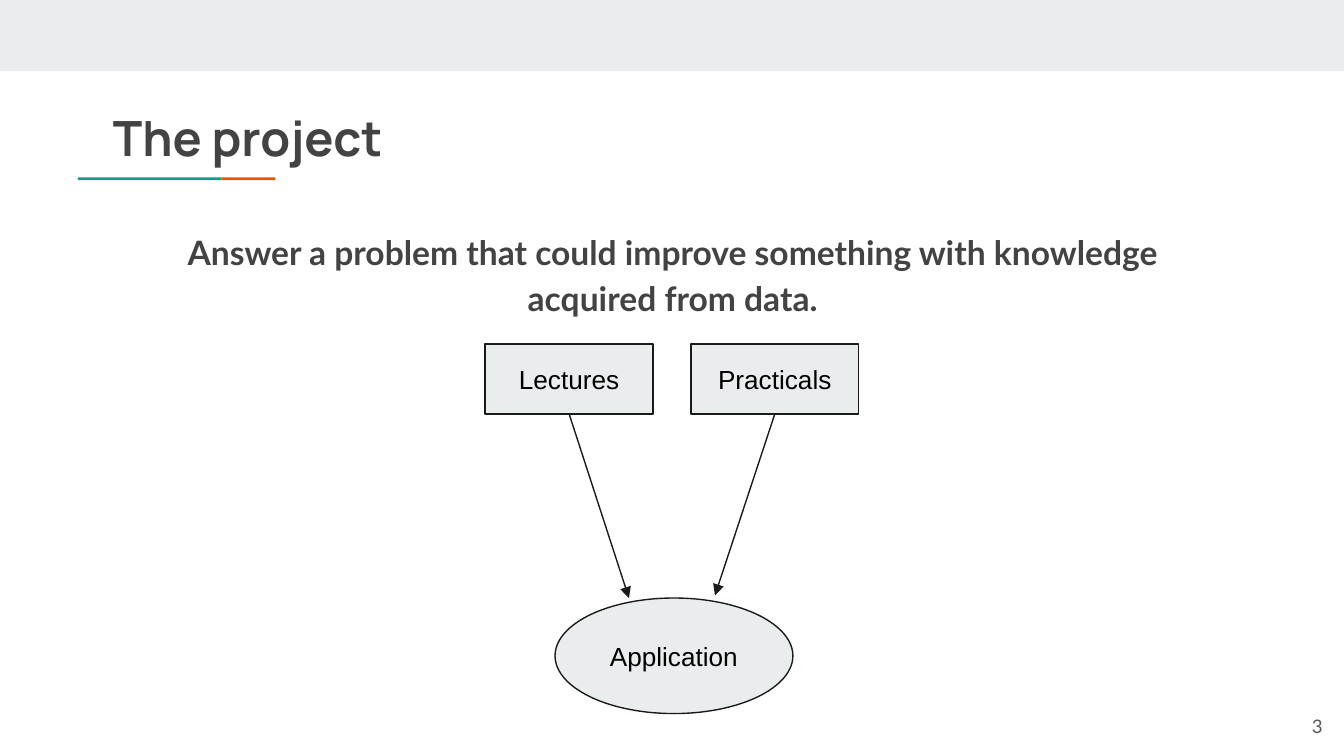
"""Build the project slide: lectures and practicals lead to an application."""
import pptx
import pptx.dml.color
import pptx.enum.shapes
import pptx.enum.text
import pptx.oxml.ns
import pptx.util
from lxml import etree

Inches = pptx.util.Inches
Shapes = pptx.enum.shapes.MSO_SHAPE
Align = pptx.enum.text.PP_ALIGN
Anchor = pptx.enum.text.MSO_ANCHOR
qn = pptx.oxml.ns.qn

COLORS = {"band": "E9EDEE", "teal": "1A9988", "orange": "EB5600", "outline": "1A1A1A",
          "heading": "434343", "label": "000000", "number": "595959"}
TITLE = "The project"
MESSAGE = "Answer a problem that could improve something with knowledge acquired from data."
SLIDE_NUMBER = "3"
DECORATIONS = [((0, 0, 10, 0.53), "band"),
               ((0.58, 1.32, 1.07, 0.02), "teal"),
               ((1.65, 1.32, 0.4, 0.02), "orange")]
SOURCES = [("Lectures", (4.68, 4.45)), ("Practicals", (5.32, 4.43))]
SOURCE_LEFT, SOURCE_TOP, SOURCE_WIDTH, SOURCE_HEIGHT, SOURCE_STEP = 3.61, 2.56, 1.25, 0.52, 1.53
TARGET = ("Application", (4.13, 4.45, 1.77, 0.86))


def rgb(name):
    return pptx.dml.color.RGBColor.from_string(COLORS[name])


def write(shape, text, size, font, color, align, anchor, bold=False):
    frame = shape.text_frame
    frame.text = text
    frame.word_wrap = True
    frame.auto_size = pptx.enum.text.MSO_AUTO_SIZE.NONE
    frame.vertical_anchor = anchor
    frame.margin_left = frame.margin_right = frame.margin_top = frame.margin_bottom = Inches(0.1)
    paragraph = frame.paragraphs[0]
    paragraph.alignment = align
    run_font = paragraph.runs[0].font
    run_font.size = pptx.util.Pt(size)
    run_font.name = font
    run_font.bold = bold
    run_font.color.rgb = rgb(color)
    return paragraph


def place(shape, box):
    shape.left, shape.top, shape.width, shape.height = map(Inches, box)


def add_filled(slide, kind, box, color):
    shape = slide.shapes.add_shape(kind, *map(Inches, box))
    shape.shadow.inherit = False
    shape.fill.solid()
    shape.fill.fore_color.rgb = rgb(color)
    shape.line.fill.background()
    return shape


def outline(line):
    line.color.rgb = rgb("outline")
    line.width = pptx.util.Pt(0.75)


def add_node(slide, kind, box, label):
    node = add_filled(slide, kind, box, "band")
    outline(node.line)
    write(node, label, 14, "Arial", "label", Align.CENTER, Anchor.MIDDLE)
    return node


def add_arrow(slide, source, end):
    arrow = slide.shapes.add_connector(
        pptx.enum.shapes.MSO_CONNECTOR.STRAIGHT, 0, 0, *map(Inches, end))
    arrow.begin_connect(source, 2)
    outline(arrow.line)
    properties = arrow.line._get_or_add_ln()
    etree.SubElement(properties, qn("a:tailEnd"), type="triangle")
    etree.SubElement(properties.getparent(), qn("a:effectLst"))


def main():
    presentation = pptx.Presentation()
    presentation.slide_width = Inches(10)
    presentation.slide_height = presentation.slide_width * 9 // 16
    slide = presentation.slides.add_slide(presentation.slide_layouts[1])
    title, body = slide.placeholders

    for box, color in DECORATIONS:
        add_filled(slide, Shapes.RECTANGLE, box, color)

    place(title, (0.74, 0.7, 8.39, 0.53))
    write(title, TITLE, 26, "Manrope", "heading", Align.LEFT, Anchor.TOP, bold=True)

    place(body, (0.79, 1.58, 8.43, 0.97))
    message = write(body, MESSAGE, 18, "Lato", "heading", Align.CENTER, Anchor.TOP, bold=True)
    message.line_spacing = 1.15
    message.space_before = pptx.util.Pt(0)
    message.space_after = pptx.util.Pt(16)
    properties = message._p.get_or_add_pPr()
    properties.set("marL", "0")
    properties.set("indent", "0")
    etree.SubElement(properties, qn("a:buNone"))

    for index, (label, arrow_end) in enumerate(SOURCES):
        box = (SOURCE_LEFT + index * SOURCE_STEP, SOURCE_TOP, SOURCE_WIDTH, SOURCE_HEIGHT)
        source = add_node(slide, Shapes.RECTANGLE, box, label)
        add_arrow(slide, source, arrow_end)
    label, box = TARGET
    add_node(slide, Shapes.OVAL, box, label)

    number = slide.shapes.add_textbox(*map(Inches, (9.34, 5.19, 0.6, 0.43)))
    write(number, SLIDE_NUMBER, 10, "Lato", "number", Align.RIGHT, Anchor.MIDDLE)
    presentation.save("out.pptx")


if __name__ == "__main__":
    main()
